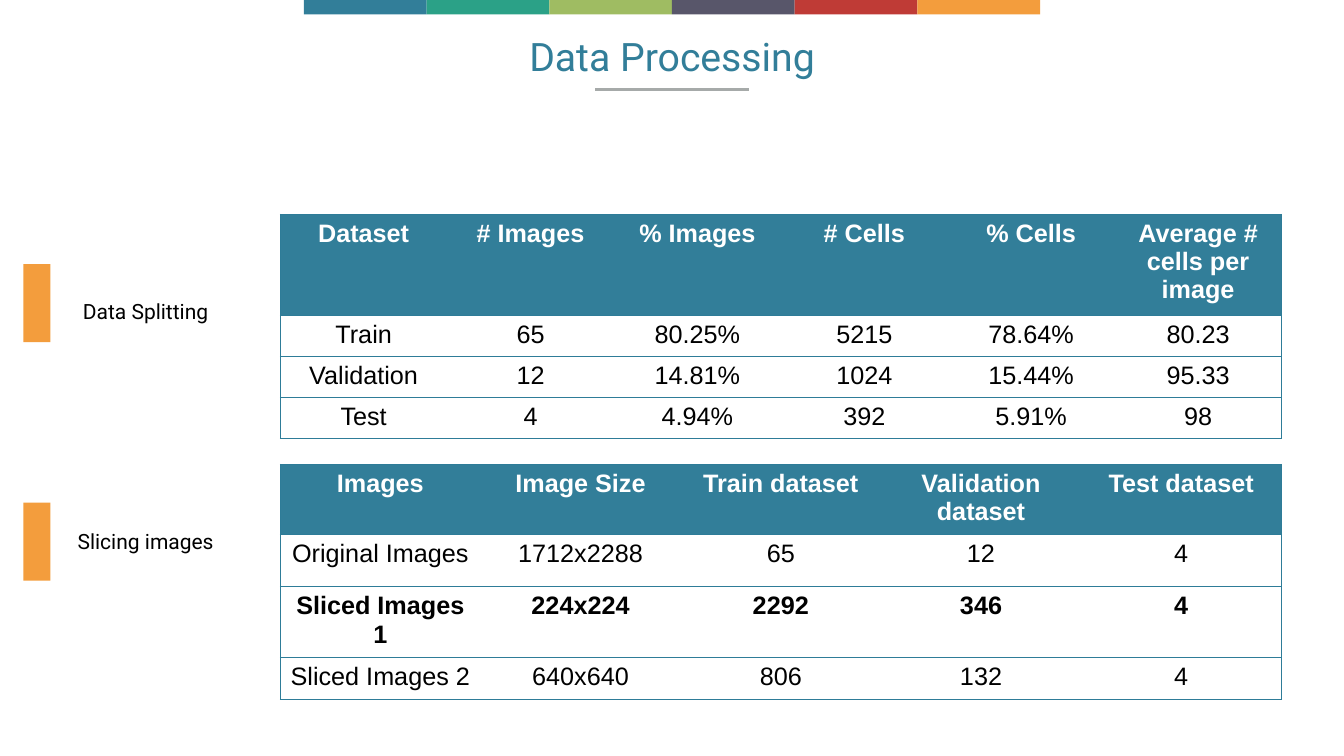
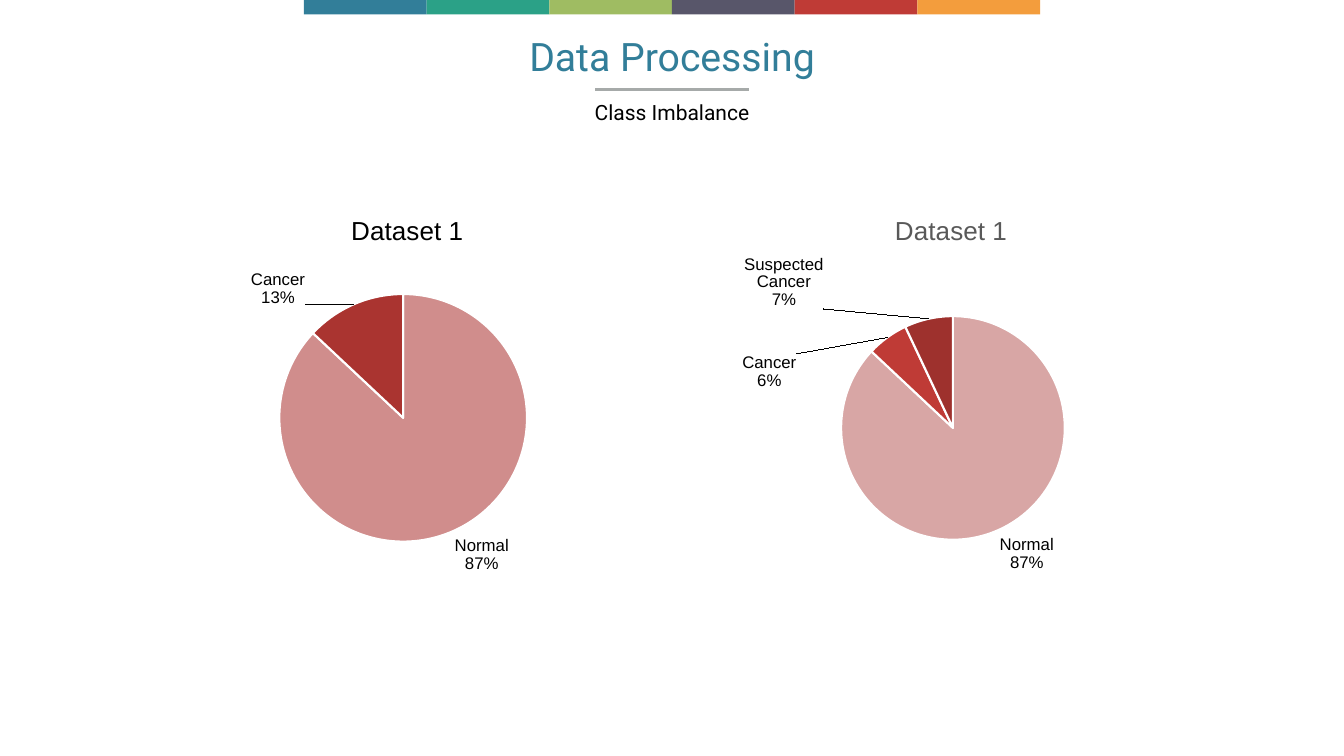
"""Build two data processing slides: dataset tables and class imbalance pies."""
from dataclasses import dataclass

from lxml.etree import SubElement
from pptx import Presentation
from pptx.chart.data import CategoryChartData
from pptx.dml.color import RGBColor
from pptx.enum.chart import XL_CHART_TYPE, XL_LABEL_POSITION
from pptx.enum.shapes import MSO_CONNECTOR, MSO_SHAPE
from pptx.enum.text import MSO_ANCHOR, PP_ALIGN
from pptx.oxml import parse_xml
from pptx.oxml.ns import nsdecls, qn
from pptx.util import Inches, Pt


@dataclass(frozen=True)
class Theme:
    band: tuple = ("327E99", "2BA187", "9FBC62", "58566A", "BF3B36", "F39D3D")
    primary: str = "327E99"
    accent: str = "F39D3D"
    border: str = "2E7C98"
    rule: str = "A6AAA9"
    ink: str = "000000"
    muted: str = "595959"
    paper: str = "FFFFFF"
    heading_font: str = "Roboto"
    body_font: str = "Arial"
    title_size: float = 28
    caption_size: float = 15
    table_size: float = 18
    chart_title_size: float = 18.6
    label_size: float = 12


theme = Theme()
deck = Presentation()
deck.slide_width, deck.slide_height = Inches(13.33), Inches(7.5)
column, row = deck.slide_width / 100, deck.slide_height / 100


def area(left, top, width, height):
    return int(left * column), int(top * row), int(width * column), int(height * row)


def style(font, name, size, color, bold=False):
    font.name, font.size, font.bold = name, Pt(size), bold
    font.color.rgb = RGBColor.from_string(color)


tables_slide, charts_slide = slides = [
    deck.slides.add_slide(deck.slide_layouts[6]) for _ in range(2)
]

band_width = 9.13
band_left = (100 - band_width * len(theme.band)) / 2
blocks = [
    (slide, color, (band_left + i * band_width, 0, band_width, 1.9))
    for slide in slides
    for i, color in enumerate(theme.band)
]
blocks += [(tables_slide, theme.accent, (1.73, top, 2.03, 10.3)) for top in (34.95, 66.5)]
for slide, color, spot in blocks:
    block = slide.shapes.add_shape(MSO_SHAPE.RECTANGLE, *area(*spot))
    block.shadow.inherit = False
    block.fill.solid()
    block.fill.fore_color.rgb = RGBColor.from_string(color)
    block.line.fill.background()

for slide in slides:
    left, top, width, _ = area(44.3, 11.85, 11.4, 0)
    rule = slide.shapes.add_connector(MSO_CONNECTOR.STRAIGHT, left, top, left + width, top)
    rule.line.color.rgb = RGBColor.from_string(theme.rule)
    rule.line.width = Pt(2)
    SubElement(rule._element.spPr, qn("a:effectLst"))

title_look = (theme.title_size, theme.primary)
caption_look = (theme.caption_size, theme.ink)
headings = [(slide, "Data Processing", (22.7, 4.4, 54.6, 6.1), title_look) for slide in slides]
headings += [
    (tables_slide, "Data Splitting", (1.84, 38.55, 18, 5.3), caption_look),
    (tables_slide, "Slicing images", (1.84, 68.95, 18, 5.3), caption_look),
    (charts_slide, "Class Imbalance", (32.8, 12.15, 34.4, 5.3), caption_look),
]
for slide, wording, spot, look in headings:
    frame = slide.shapes.add_textbox(*area(*spot)).text_frame
    frame.word_wrap = True
    frame.vertical_anchor = MSO_ANCHOR.MIDDLE
    frame.margin_left = frame.margin_right = frame.margin_top = frame.margin_bottom = 0
    paragraph = frame.paragraphs[0]
    paragraph.text = wording
    paragraph.alignment = PP_ALIGN.CENTER
    style(paragraph.font, theme.heading_font, *look)

splitting = [
    ("Dataset", "# Images", "% Images", "# Cells", "% Cells", "Average # cells per image"),
    ("Train", "65", "80.25%", "5215", "78.64%", "80.23"),
    ("Validation", "12", "14.81%", "1024", "15.44%", "95.33"),
    ("Test", "4", "4.94%", "392", "5.91%", "98"),
]
slicing = [
    ("Images", "Image Size", "Train dataset", "Validation dataset", "Test dataset"),
    ("Original Images", "1712x2288", "65", "12", "4"),
    ("Sliced Images 1", "224x224", "2292", "346", "4"),
    ("Sliced Images 2", "640x640", "806", "132", "4"),
]
no_grid_style = "{2D5ABB26-0587-4C30-8999-92F81FD0307C}"
for records, top, heights, bold_rows in (
    (splitting, 28.35, (12.6, 5.43, 5.43, 5.43), (0,)),
    (slicing, 61.4, (8.9, 6.9, 8.9, 5.55), (0, 2)),
):
    last = len(records[0]) - 1
    table = tables_slide.shapes.add_table(
        len(records), last + 1, *area(20.85, top, 74.5, sum(heights))
    ).table
    table._tbl.tblPr.find(qn("a:tableStyleId")).text = no_grid_style
    for r, record in enumerate(records):
        table.rows[r].height = int(heights[r] * row)
        for c, value in enumerate(record):
            cell = table.cell(r, c)
            edges = ["lnL"] * (c == 0) + ["lnR"] * (c == last) + ["lnT", "lnB"]
            for edge in edges:
                cell._tc.get_or_add_tcPr().append(parse_xml(
                    f'<a:{edge} {nsdecls("a")} w="{Pt(0.75)}"><a:solidFill>'
                    f'<a:srgbClr val="{theme.border}"/></a:solidFill></a:{edge}>'
                ))
            cell.fill.solid()
            cell.fill.fore_color.rgb = RGBColor.from_string(theme.paper if r else theme.primary)
            paragraph = cell.text_frame.paragraphs[0]
            paragraph.text = value
            paragraph.alignment = PP_ALIGN.CENTER
            style(paragraph.font, theme.body_font, theme.table_size,
                  theme.ink if r else theme.paper, r in bold_rows)

pies = [
    ((10.8, 24.4, 38.4, 53.7), theme.ink, (0.39, 0.06), (0.26, 0.27, 0.48, 0.61),
     [("Normal", 87, "D08D8C", None), ("Cancer", 13, "AA3430", (-0.09, 0.02))]),
    ((50, 24.4, 40.6, 53.7), theme.muted, (0.4, 0.06), (0.31, 0.32, 0.41, 0.56),
     [("Normal", 87, "D8A6A5", None), ("Cancer", 6, "BF3B36", (-0.16, 0.14)),
      ("Suspected Cancer", 7, "9E312D", (-0.19, -0.01))]),
]
for spot, title_color, title_spot, pie_spot, slices in pies:
    data = CategoryChartData()
    data.categories = [name for name, *_ in slices]
    data.add_series("Dataset 1", [share for _, share, *_ in slices])
    chart = charts_slide.shapes.add_chart(XL_CHART_TYPE.PIE, *area(*spot), data).chart
    chart.has_legend = False
    style(chart.font, theme.body_font, theme.label_size, theme.ink)

    chart.has_title = True
    heading = chart.chart_title.text_frame.paragraphs[0]
    heading.text = "Dataset 1"
    style(heading.font, theme.body_font, theme.chart_title_size, title_color)

    title_xml = chart.chart_title._element
    plot_xml = chart._chartSpace.chart.plotArea
    for parent, position, numbers in ((title_xml, 1, title_spot), (plot_xml, 0, pie_spot)):
        for old in parent.findall(qn("c:layout")):
            parent.remove(old)
        target = '<c:layoutTarget val="inner"/>' if parent is plot_xml else ""
        modes = '<c:xMode val="edge"/><c:yMode val="edge"/>'
        values = "".join(f'<c:{k} val="{v}"/>' for k, v in zip("xywh", numbers))
        parent.insert(position, parse_xml(
            f'<c:layout {nsdecls("c")}><c:manualLayout>{target}{modes}{values}'
            "</c:manualLayout></c:layout>"
        ))

    series = chart.plots[0].series[0]
    labels = series.data_labels
    style(labels.font, theme.body_font, theme.label_size, theme.ink)
    labels.show_value, labels.show_category_name, labels.show_percentage = False, True, True
    labels.position = XL_LABEL_POSITION.OUTSIDE_END
    labels._element.find(qn("c:showBubbleSize")).addnext(
        parse_xml(f'<c:separator {nsdecls("c")}>\n</c:separator>')
    )
    moved = 0
    for i, (_, _, color, shift) in enumerate(slices):
        wedge = series.points[i].format
        wedge.fill.solid()
        wedge.fill.fore_color.rgb = RGBColor.from_string(color)
        wedge.line.color.rgb = RGBColor.from_string(theme.paper)
        wedge.line.width = Pt(1.5)
        if shift:
            labels._element.insert(moved, parse_xml(
                f'<c:dLbl {nsdecls("c")}><c:idx val="{i}"/><c:layout><c:manualLayout>'
                f'<c:x val="{shift[0]}"/><c:y val="{shift[1]}"/></c:manualLayout></c:layout>'
                '<c:dLblPos val="outEnd"/><c:showLegendKey val="0"/><c:showVal val="0"/>'
                '<c:showCatName val="1"/><c:showSerName val="0"/><c:showPercent val="1"/>'
                '<c:showBubbleSize val="0"/><c:separator>\n</c:separator></c:dLbl>'
            ))
            moved += 1

deck.save("out.pptx")
